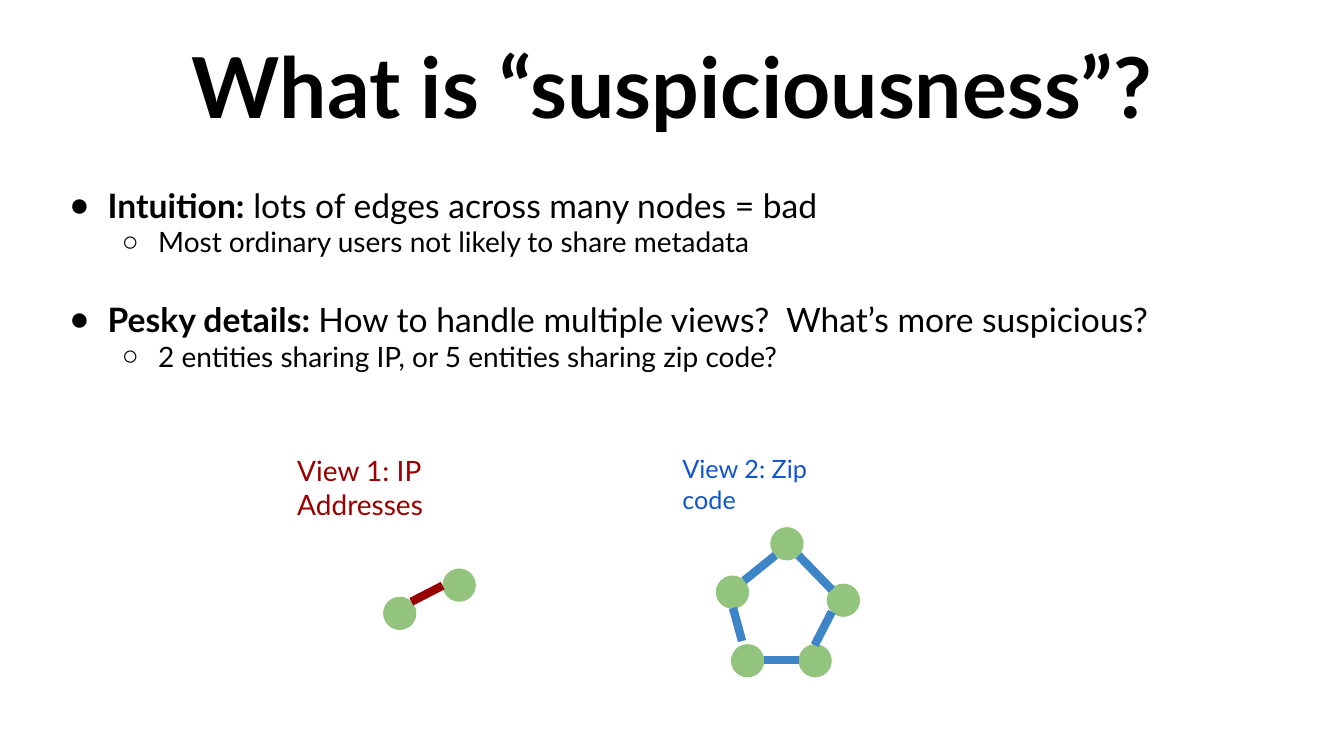
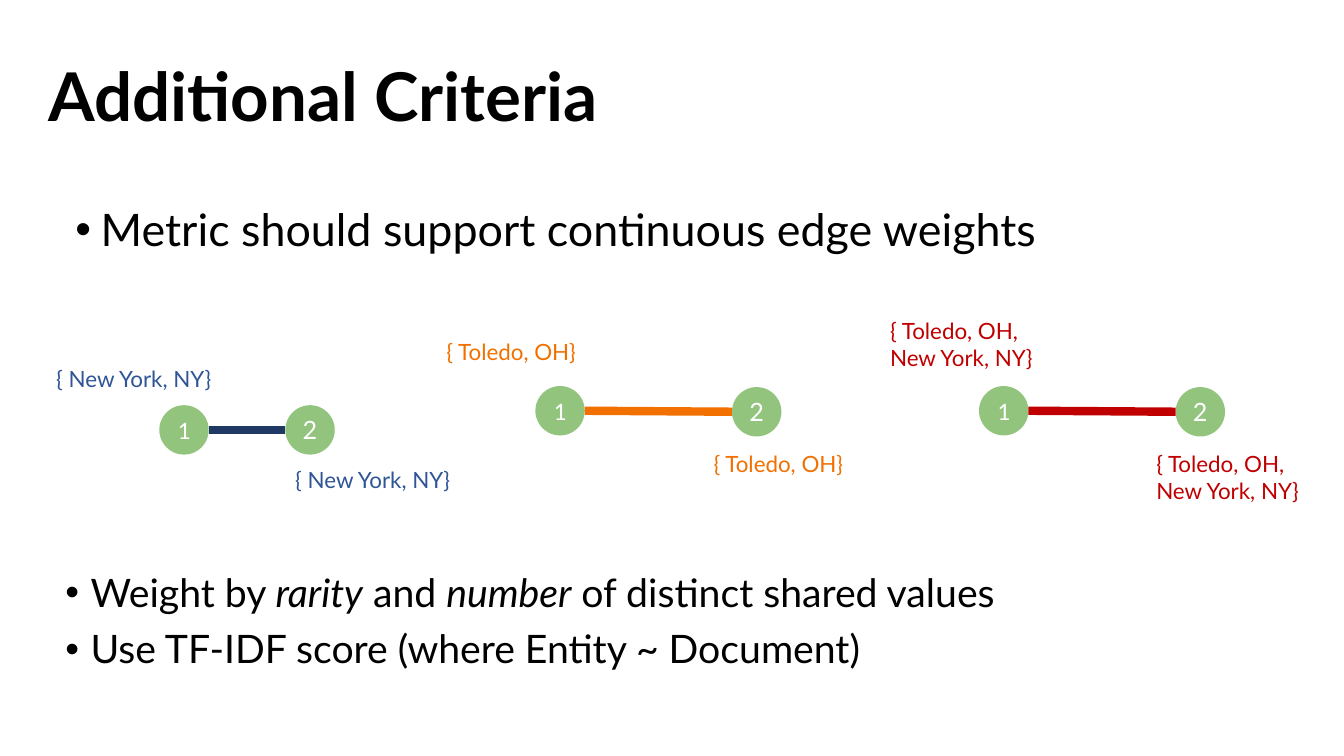
import pptx
import pptx.dml.color
import pptx.enum.shapes
import pptx.enum.text
import pptx.oxml
import pptx.oxml.ns
import pptx.util
from pptx.util import Inches

RGBColor = pptx.dml.color.RGBColor
Align = pptx.enum.text.PP_ALIGN
Anchor = pptx.enum.text.MSO_ANCHOR

BLACK = RGBColor(0x00, 0x00, 0x00)
WHITE = RGBColor(0xFF, 0xFF, 0xFF)
NODE_GREEN = RGBColor(0x93, 0xC4, 0x7D)
IP_RED = RGBColor(0x99, 0x00, 0x00)
ZIP_BLUE = RGBColor(0x11, 0x55, 0xCC)
ZIP_EDGE_BLUE = RGBColor(0x3D, 0x85, 0xC6)
CITY_BLUE = RGBColor(0x2F, 0x55, 0x97)
CITY_EDGE_NAVY = RGBColor(0x20, 0x38, 0x64)
ORANGE = RGBColor(0xF2, 0x70, 0x00)
RED = RGBColor(0xC0, 0x00, 0x00)

FONT = "Lato"
EDGE_WIDTH = 6
SMALL_NODE = 0.33
LARGE_NODE = 0.49


def write_text(frame, text, size, color=BLACK, font=FONT, bold=False, align=Align.LEFT,
               line_spacing=1.0, space_before=0, level=0, bullet=None, indent=0, hanging=0):
    """Add a paragraph; text is a string or a list of (text, "b", "i" or "") runs."""
    paragraph = frame.paragraphs[0]
    if paragraph.runs:
        paragraph = frame.add_paragraph()
        paragraph.space_before = pptx.util.Pt(space_before)
    else:
        paragraph.space_before = pptx.util.Pt(0)
    paragraph.alignment = align
    paragraph.line_spacing = line_spacing
    paragraph.level = level
    if bullet:
        properties = paragraph._p.get_or_add_pPr()
        properties.set("marL", str(Inches(indent)))
        properties.set("indent", str(Inches(-hanging)))
        namespace = pptx.oxml.ns.nsdecls("a")
        for xml in (f'<a:buClr {namespace}><a:srgbClr val="{color}"/></a:buClr>',
                    f'<a:buFont {namespace} typeface="Arial"/>',
                    f'<a:buChar {namespace} char="{bullet}"/>'):
            properties.append(pptx.oxml.parse_xml(xml))
    runs = [(text, "b" if bold else "")] if isinstance(text, str) else text
    for run_text, style in runs:
        run = paragraph.add_run()
        run.text = run_text
        run.font.name = font
        run.font.size = pptx.util.Pt(size)
        run.font.color.rgb = color
        run.font.bold = style == "b"
        run.font.italic = style == "i"


def add_graph(slide, nodes, diameter, edges, edge_color, labels, label_size, label_color):
    """Group nodes (left, top, text, font), edges (x1, y1, x2, y2) and labels (left, top, lines)."""
    shapes = slide.shapes.add_group_shape().shapes
    for left, top, text, font in nodes:
        node = shapes.add_shape(pptx.enum.shapes.MSO_SHAPE.OVAL, Inches(left), Inches(top),
                                Inches(diameter), Inches(diameter))
        node.shadow.inherit = False
        node.fill.solid()
        node.fill.fore_color.rgb = NODE_GREEN
        node.line.fill.background()
        if text:
            node.text_frame.word_wrap = False
            node.text_frame.vertical_anchor = Anchor.MIDDLE
            write_text(node.text_frame, text, 18, color=WHITE, font=font, align=Align.CENTER)
    for x1, y1, x2, y2 in edges:
        edge = shapes.add_connector(pptx.enum.shapes.MSO_CONNECTOR.STRAIGHT,
                                    Inches(x1), Inches(y1), Inches(x2), Inches(y2))
        edge.line.color.rgb = edge_color
        edge.line.width = pptx.util.Pt(EDGE_WIDTH)
        edge._element.spPr.append(
            pptx.oxml.parse_xml(f'<a:effectLst {pptx.oxml.ns.nsdecls("a")}/>'))
    for left, top, lines in labels:
        height = 0.2 + len(lines) * label_size * 1.2 / 72
        label = shapes.add_textbox(Inches(left), Inches(top), Inches(1.96), Inches(height))
        frame = label.text_frame
        frame.word_wrap = label_size < 18
        frame.margin_top = frame.margin_bottom = Inches(0.1)
        for line in lines:
            write_text(frame, line, label_size, color=label_color)


presentation = pptx.Presentation()
presentation.slide_width = Inches(13.33)
presentation.slide_height = Inches(7.5)

# Slides with their titles
slides = []
for title_text, left, top, width, size, align in (
        ("What is “suspiciousness”?", 0, 0.18, 13.33, 60, Align.CENTER),
        ("Additional Criteria", 0.38, 0.26, 11.5, 48, Align.LEFT)):
    slide = presentation.slides.add_slide(presentation.slide_layouts[5])
    title = slide.shapes.title
    title.left, title.top = Inches(left), Inches(top)
    title.width, title.height = Inches(width), Inches(1.45)
    title.text_frame.auto_size = pptx.enum.text.MSO_AUTO_SIZE.NONE
    title.text_frame.vertical_anchor = Anchor.MIDDLE
    write_text(title.text_frame, title_text, size, bold=True, align=align, line_spacing=0.9)
    slides.append(slide)
suspiciousness, criteria = slides

# Bullet lists
point = dict(size=24, bullet="●", indent=0.5, hanging=0.38, space_before=29)
detail = dict(size=20, bullet="○", indent=1, hanging=0.36, level=1)
criterion = dict(bullet="•", indent=0.25, hanging=0.25, line_spacing=0.9, space_before=10)
for slide, left, top, width, height, margin, bullets in (
        (suspiciousness, 0.47, 1.73, 11.99, 2.45, 0.1, (
            ([("Intuition:", "b"), (" lots of edges across many nodes = bad", "")], point),
            ("Most ordinary users not likely to share metadata", detail),
            ([("Pesky details: ", "b"),
              ("How to handle multiple views?  What’s more suspicious?", "")], point),
            ("2 entities sharing IP, or 5 entities sharing zip code?", detail))),
        (criteria, 0.65, 2.01, 12.41, 0.76, 0.05, (
            ("Metric should support continuous edge weights", dict(criterion, size=32)),)),
        (criteria, 0.55, 5.64, 12.41, 1.14, 0.05, (
            ([("Weight by ", ""), ("rarity", "i"), (" and ", ""), ("number", "i"),
              (" of distinct shared values", "")], dict(criterion, size=28)),
            ("Use TF-IDF score (where Entity ~ Document)", dict(criterion, size=28))))):
    box = slide.shapes.add_textbox(Inches(left), Inches(top), Inches(width), Inches(height))
    box.text_frame.word_wrap = True
    box.text_frame.margin_top = box.text_frame.margin_bottom = Inches(margin)
    for text, text_format in bullets:
        write_text(box.text_frame, text, **text_format)

# Two views of shared metadata
ip_nodes = ((3.8, 5.92), (4.39, 5.64))
ip_edges = ((4.08, 5.97, 4.39, 5.81),)
zip_nodes = ((7.1, 5.71), (7.25, 6.39), (7.92, 6.39), (8.2, 5.79), (7.64, 5.23))
zip_edges = ((7.92, 6.55, 7.58, 6.55), (7.27, 6.03, 7.36, 6.36), (7.38, 5.76, 7.69, 5.51),
             (7.92, 5.51, 8.25, 5.85), (8.25, 6.07, 8.08, 6.4))
for nodes, edges, edge_color, label_left, label, label_size, label_color in (
        (ip_nodes, ip_edges, IP_RED, 2.85, "View 1: IP Addresses", 20, IP_RED),
        (zip_nodes, zip_edges, ZIP_EDGE_BLUE, 6.67, "View 2: Zip code", 18, ZIP_BLUE)):
    add_graph(suspiciousness, [(left, top, "", FONT) for left, top in nodes], SMALL_NODE,
              edges, edge_color, [(label_left, 4.4, [label])], label_size, label_color)

# Pairs of entities with the values they share
both_cities = ["{ Toledo, OH,", "New York, NY}"]
for first, second, lines, first_label, second_label, edge_color, label_color in (
        ((1.58, 4.02), (2.83, 4.02), ["{ New York, NY}"], (0.46, 3.52), (2.83, 4.52),
         CITY_EDGE_NAVY, CITY_BLUE),
        ((5.31, 3.83), (7.26, 3.84), ["{ Toledo, OH}"], (4.33, 3.25), (6.98, 4.37),
         ORANGE, ORANGE),
        ((9.71, 3.83), (11.66, 3.84), both_cities, (8.73, 3.05), (11.37, 4.37), RED, RED)):
    radius = LARGE_NODE / 2
    edge = (first[0] + LARGE_NODE, first[1] + radius, second[0], second[1] + radius)
    add_graph(criteria, [(*first, "1", "Calibri"), (*second, "2", FONT)], LARGE_NODE,
              [edge], edge_color, [(*first_label, lines), (*second_label, lines)],
              16, label_color)

presentation.save("out.pptx")
